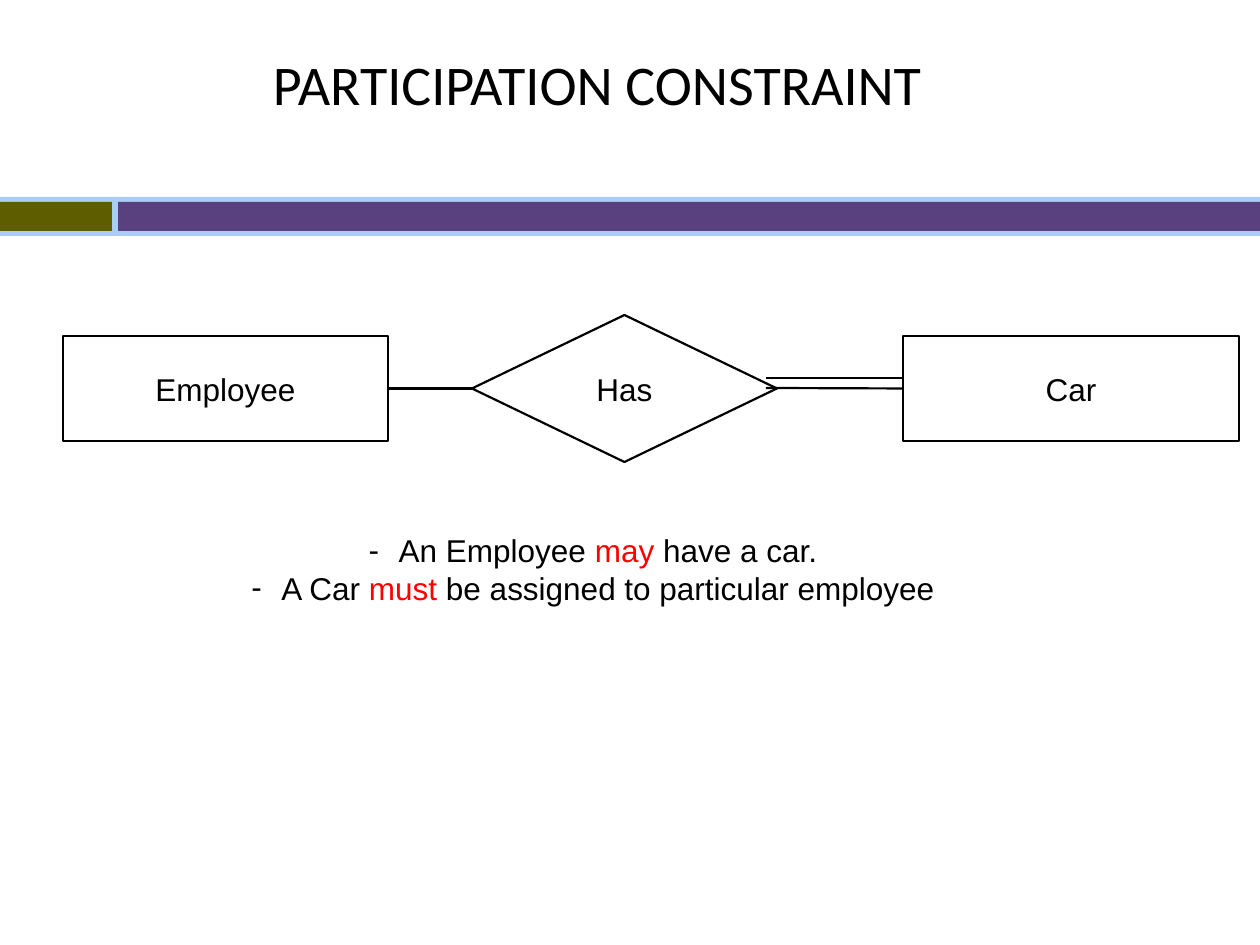
from lxml import etree
from pptx import Presentation
from pptx import util as u
from pptx.dml.color import RGBColor
from pptx.enum import shapes, text
from pptx.oxml.ns import qn

SCALE = 914400 / 126
COLORS = {"ink": "000000", "accent": "FF0000", "band": "AACDF4",
          "olive": "5E5E00", "purple": "59417F"}


def px(*lengths):
    return [u.Emu(round(length * SCALE)) for length in lengths]


def write(paragraph, words, font="Arial", size=18, color="ink",
          align=text.PP_ALIGN.CENTER):
    paragraph.alignment = align
    run = paragraph.add_run()
    run.text = words
    run.font.name = font
    run.font.size = u.Pt(size)
    run.font.color.rgb = RGBColor.from_string(COLORS[color])


prs = Presentation()
prs.slide_width, prs.slide_height = px(1260, 945)
slide = prs.slides.add_slide(prs.slide_layouts[1])

for left, top, width, height, color in [(0, 197, 1260, 39, "band"),
                                        (0, 202, 112, 29, "olive"),
                                        (118, 202, 1142, 29, "purple")]:
    bar = slide.shapes.add_shape(shapes.MSO_SHAPE.RECTANGLE, *px(left, top, width, height))
    bar.shadow.inherit = False
    bar.fill.solid()
    bar.fill.fore_color.rgb = RGBColor.from_string(COLORS[color])
    bar.line.fill.background()

heading = slide.shapes.title
heading.left, heading.top, heading.width, heading.height = px(273, 49, 1045, 130)
frame = heading.text_frame
frame.margin_left = frame.margin_right = frame.margin_top = frame.margin_bottom = 0
frame.vertical_anchor = text.MSO_ANCHOR.TOP
write(frame.paragraphs[0], "PARTICIPATION CONSTRAINT", font="Calibri", size=32,
      align=text.PP_ALIGN.LEFT)

rules = slide.placeholders[1]
rules.left, rules.top, rules.width, rules.height = px(84, 525, 1018, 88)
frame = rules.text_frame
for index, (subject, modality, rest) in enumerate([
        ("An Employee ", "may", " have a car."),
        ("A Car ", "must", " be assigned to particular employee")]):
    rule = frame.add_paragraph() if index else frame.paragraphs[0]
    indent = px(30)[0]
    props = rule._p.get_or_add_pPr()
    props.set("marL", str(indent))
    props.set("indent", str(-indent))
    etree.SubElement(props, qn("a:buChar"), char="-")
    rule.space_before = u.Pt(0)
    write(rule, subject)
    write(rule, modality, color="accent")
    write(rule, rest)

nodes = {}
for label, preset, left, top, width, height in [
        ("Employee", shapes.MSO_SHAPE.RECTANGLE, 63, 336, 325, 105),
        ("Has", shapes.MSO_SHAPE.FLOWCHART_DECISION, 472, 315, 305, 147),
        ("Car", shapes.MSO_SHAPE.RECTANGLE, 903, 336, 336, 105)]:
    node = slide.shapes.add_shape(preset, *px(left, top, width, height))
    node.shadow.inherit = False
    node.fill.background()
    node.line.color.rgb = RGBColor.from_string(COLORS["ink"])
    node.line.width = u.Pt(1.25)
    node.text_frame.word_wrap = False
    node.text_frame.vertical_anchor = text.MSO_ANCHOR.MIDDLE
    write(node.text_frame.paragraphs[0], label)
    nodes[label] = node

for x1, y1, x2, y2, source, target in [
        (388, 336, 388, 441, None, None),
        (388, 388, 472, 388, "Employee", "Has"),
        (766, 378, 903, 378, None, None),
        (766, 388, 903, 388, None, "Car")]:
    link = slide.shapes.add_connector(shapes.MSO_CONNECTOR.STRAIGHT, *px(x1, y1, x2, y2))
    link.line.color.rgb = RGBColor.from_string(COLORS["ink"])
    link.line.width = u.Pt(1.25)
    etree.SubElement(link._element.spPr, qn("a:effectLst"))
    if source:
        link.begin_connect(nodes[source], 3)
    if target:
        link.end_connect(nodes[target], 1)

prs.save("out.pptx")
